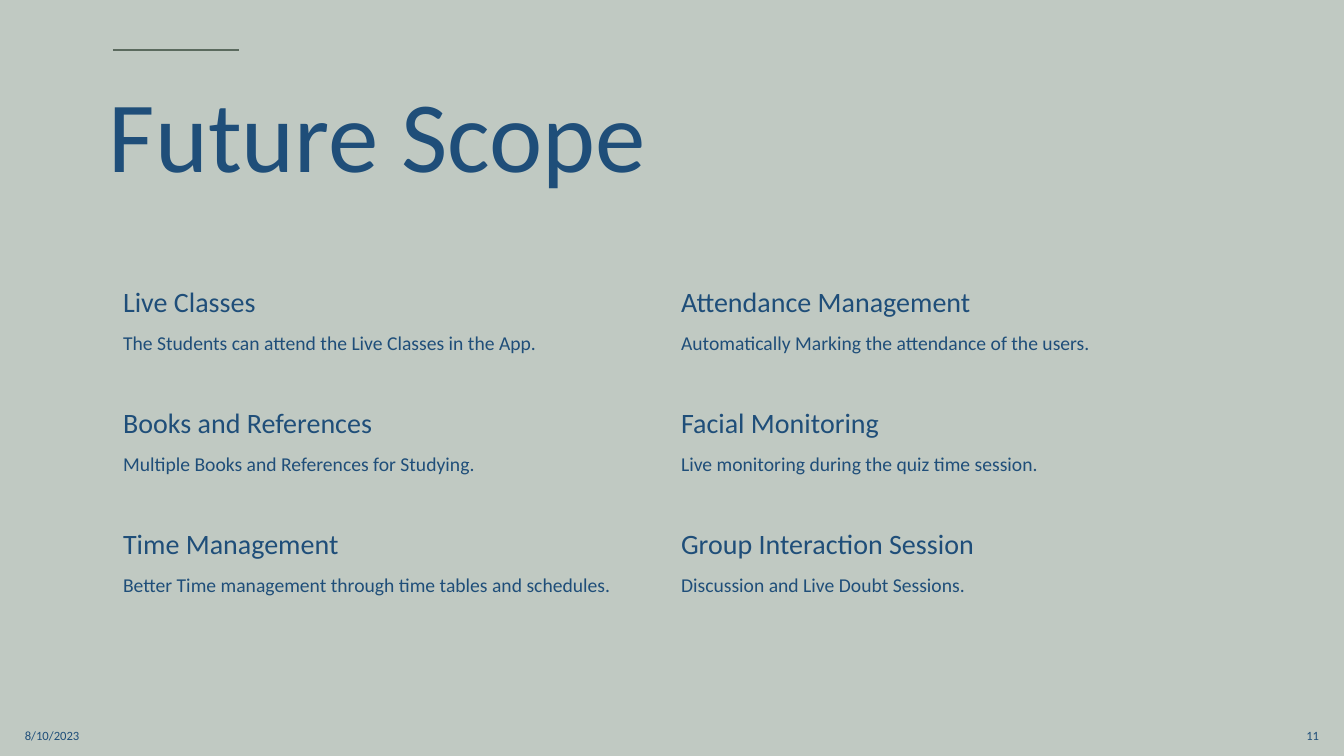
"""Builds the Future Scope slide: a title over a borderless grid of planned features."""
from lxml.etree import SubElement
from pptx import Presentation
from pptx.dml.color import RGBColor
from pptx.enum.text import MSO_ANCHOR, PP_ALIGN
from pptx.oxml.ns import qn
from pptx.util import Emu, Pt

SCALE = 914400 / 100.8
BACKGROUND, RULE, INK = "C0C9C2", "5B6A5E", "1F4E79"
FONT = "Calibri"

FEATURES = [
    [("Live Classes", "The Students can attend the Live Classes in the App."),
     ("Attendance Management", "Automatically Marking the attendance of the users.")],
    [("Books and References", "Multiple Books and References for Studying."),
     ("Facial Monitoring", "Live monitoring during the quiz time session.")],
    [("Time Management", "Better Time management through time tables and schedules."),
     ("Group Interaction Session", "Discussion and Live Doubt Sessions.")],
]
HEADING_SIZE, DETAIL_SIZE = 20, 14
GRID_LEFT, GRID_TOP, COLUMN, ROW = 113, 283, 558, 121
RULE_TOP, RULE_LENGTH = 50, 126

TEXTS = [
    ("Future Scope", (99, 64, 1120, 151), 72, {"line_spacing": 0.9}),
    ("8/10/2023", (15, 715, 302, 40), 9, {}),
    ("11", (1027, 715, 302, 40), 9, {"alignment": PP_ALIGN.RIGHT}),
]


def px(length):
    return Emu(round(length * SCALE))


def color(value):
    return RGBColor.from_string(value)


def write(paragraph, text, size, layout):
    run = paragraph.add_run()
    run.text = text
    for name, value in {"name": FONT, "size": Pt(size), "bold": False}.items():
        setattr(run.font, name, value)
    run.font.color.rgb = color(INK)
    for name, value in layout.items():
        setattr(paragraph, name, value)


def clear_cell(cell):
    properties = cell._tc.get_or_add_tcPr()
    for side in ("a:lnL", "a:lnR", "a:lnT", "a:lnB"):
        SubElement(SubElement(properties, qn(side), w="0"), qn("a:noFill"))
    cell.fill.background()


def add_rule(slide):
    rule = slide.shapes.add_connector(
        1, px(GRID_LEFT), px(RULE_TOP), px(GRID_LEFT + RULE_LENGTH), px(RULE_TOP))
    rule.line.color.rgb = color(RULE)
    rule.line.width = Pt(1.25)
    SubElement(rule._element.spPr, qn("a:effectLst"))


def add_text(slide, text, box, size, layout):
    frame = slide.shapes.add_textbox(*map(px, box)).text_frame
    frame.word_wrap = True
    frame.vertical_anchor = MSO_ANCHOR.MIDDLE
    write(frame.paragraphs[0], text, size, layout)


def add_features(slide):
    rows, columns = len(FEATURES), len(FEATURES[0])
    grid = slide.shapes.add_table(
        rows, columns, px(GRID_LEFT), px(GRID_TOP),
        px(COLUMN * columns), px(ROW * rows)).table
    grid.first_row = grid.horz_banding = False
    for column in grid.columns:
        column.width = px(COLUMN)
    for row, features in zip(grid.rows, FEATURES):
        row.height = px(ROW)
        for cell, (heading, detail) in zip(row.cells, features):
            clear_cell(cell)
            frame = cell.text_frame
            write(frame.paragraphs[0], heading, HEADING_SIZE, {"line_spacing": 0.9})
            write(frame.add_paragraph(), detail, DETAIL_SIZE,
                  {"line_spacing": 0.9, "space_before": Pt(10)})


def main():
    deck = Presentation()
    deck.slide_width, deck.slide_height = px(1344), px(756)
    slide = deck.slides.add_slide(deck.slide_layouts[6])
    slide.background.fill.solid()
    slide.background.fill.fore_color.rgb = color(BACKGROUND)
    add_rule(slide)
    title, *footers = TEXTS
    add_text(slide, *title)
    add_features(slide)
    for footer in footers:
        add_text(slide, *footer)
    deck.save("out.pptx")


if __name__ == "__main__":
    main()
